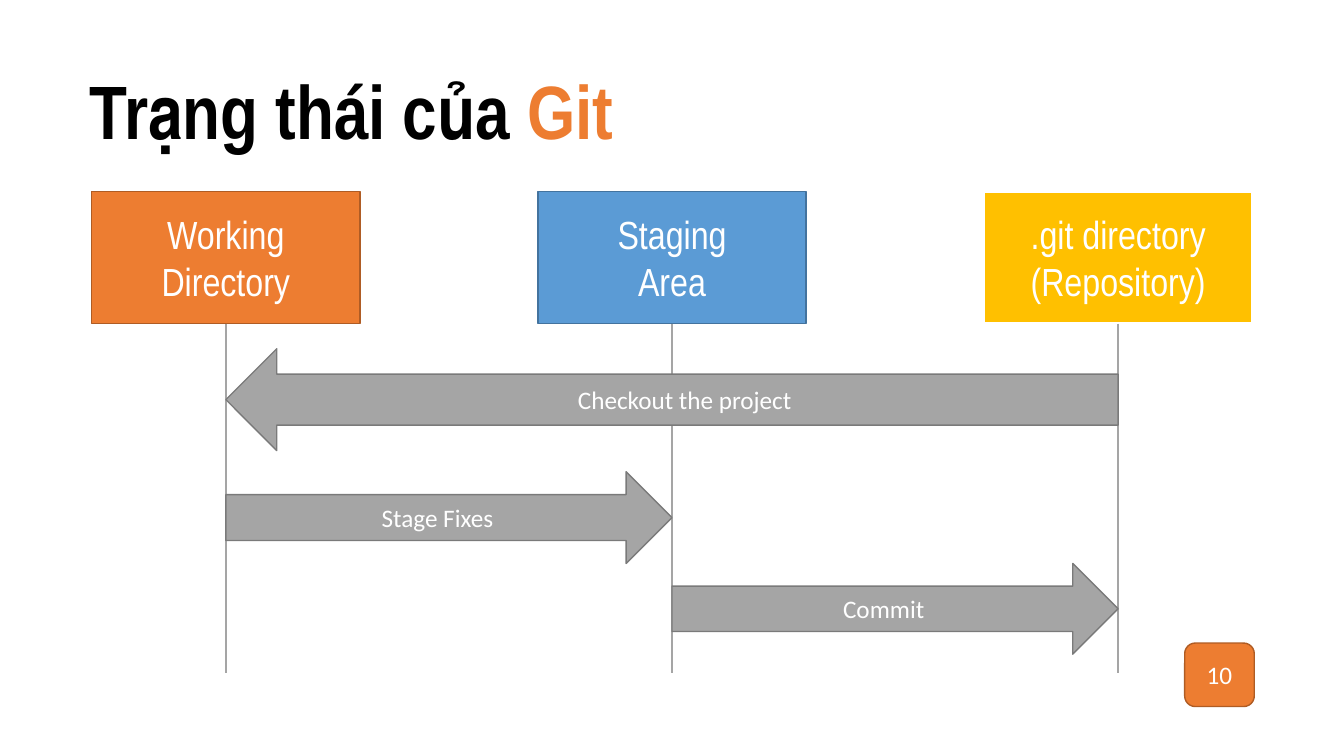
from dataclasses import dataclass

from lxml import etree
from pptx import Presentation
from pptx import util as u
from pptx.dml.color import RGBColor
from pptx.enum import shapes, text
from pptx.oxml.ns import qn


@dataclass(frozen=True)
class Theme:
    orange: str = "ED7D31"
    orange_edge: str = "AF5C24"
    blue: str = "5B9BD5"
    blue_edge: str = "43739E"
    gold: str = "FFC000"
    grey: str = "A5A5A5"
    grey_edge: str = "7A7A7A"
    white: str = "FFFFFF"
    black: str = "000000"
    heading_font: str = "Arial Narrow"
    body_font: str = "Calibri"
    title_size: int = 54
    box_size: int = 28
    label_size: int = 18


WIDTH, HEIGHT = 13.33, 7.5
FIRST_LANE, LANE_GAP = 2.24, 4.425
BOX_WIDTH, BOX_HEIGHT, BOX_TOP = 2.66, 1.31, 1.9
LANE_END = 6.68


def lane_x(lane):
    """Horizontal centre of a lane, counted from 0."""
    return FIRST_LANE + lane * LANE_GAP


def add_span(para, wording, *, font, size, color, bold=False):
    span = para.add_run()
    span.text = wording
    span.font.name = font
    span.font.size = u.Pt(size)
    span.font.bold = bold
    span.font.color.rgb = RGBColor.from_string(color)


class StatePage:
    """Draws the elements of one slide in a shared style."""

    def __init__(self, deck, theme):
        self.theme = theme
        self.page = deck.slides.add_slide(deck.slide_layouts[5])

    def title(self, parts, left, top, width, height):
        box = self.page.shapes.title
        box.left, box.top = u.Inches(left), u.Inches(top)
        box.width, box.height = u.Inches(width), u.Inches(height)
        frame = box.text_frame
        frame.auto_size = text.MSO_AUTO_SIZE.NONE
        frame.vertical_anchor = text.MSO_ANCHOR.TOP
        para = frame.paragraphs[0]
        para.alignment = text.PP_ALIGN.LEFT
        for wording, color in parts:
            add_span(para, wording, font=self.theme.heading_font,
                     size=self.theme.title_size, color=color, bold=True)

    def shape(self, kind, place, lines, fill, edge, *, edge_width=1, font=None, size=None):
        box = self.page.shapes.add_shape(kind, *map(u.Inches, place))
        box.shadow.inherit = False
        box.fill.solid()
        box.fill.fore_color.rgb = RGBColor.from_string(fill)
        box.line.color.rgb = RGBColor.from_string(edge)
        box.line.width = u.Pt(edge_width)
        frame = box.text_frame
        frame.word_wrap = True
        frame.vertical_anchor = text.MSO_ANCHOR.MIDDLE
        for index, wording in enumerate(lines):
            para = frame.add_paragraph() if index else frame.paragraphs[0]
            para.alignment = text.PP_ALIGN.CENTER
            add_span(para, wording, font=font or self.theme.body_font,
                     size=size or self.theme.label_size, color=self.theme.white)
        return box

    def lane_box(self, lane, lines, fill, edge, edge_width):
        place = (lane_x(lane) - BOX_WIDTH / 2, BOX_TOP, BOX_WIDTH, BOX_HEIGHT)
        return self.shape(shapes.MSO_SHAPE.RECTANGLE, place, lines, fill, edge,
                          edge_width=edge_width, font=self.theme.heading_font,
                          size=self.theme.box_size)

    def lifeline(self, lane, box):
        x = u.Inches(lane_x(lane))
        line = self.page.shapes.add_connector(
            shapes.MSO_CONNECTOR.STRAIGHT, x, box.top + box.height, x, u.Inches(LANE_END))
        line.begin_connect(box, 2)
        line.line.color.rgb = RGBColor.from_string(self.theme.grey)
        line.line.width = u.Pt(1.5)
        etree.SubElement(line._element.spPr, qn("a:effectLst"))

    def arrow(self, start, end, top, height, label):
        """Block arrow from one lane to another, pointing at the end lane."""
        kind = shapes.MSO_SHAPE.RIGHT_ARROW if end > start else shapes.MSO_SHAPE.LEFT_ARROW
        place = (lane_x(min(start, end)), top, abs(end - start) * LANE_GAP, height)
        self.shape(kind, place, [label], self.theme.grey, self.theme.grey_edge)


def main():
    theme = Theme()
    deck = Presentation()
    deck.slide_width, deck.slide_height = u.Inches(WIDTH), u.Inches(HEIGHT)
    page = StatePage(deck, theme)

    page.title([("Trạng thái của ", theme.black), ("Git", theme.orange)],
               0.79, 0.58, 5.88, 1.01)

    lanes = [
        (["Working Directory"], theme.orange, theme.orange_edge, 1),
        (["Staging", "Area"], theme.blue, theme.blue_edge, 1),
        ([".git directory", "(Repository)"], theme.gold, theme.white, 1.5),
    ]
    boxes = [page.lane_box(lane, *details) for lane, details in enumerate(lanes)]
    for lane, box in enumerate(boxes):
        page.lifeline(lane, box)

    page.shape(shapes.MSO_SHAPE.ROUNDED_RECTANGLE, (11.75, 6.38, 0.69, 0.63),
               ["10"], theme.orange, theme.orange_edge)

    page.arrow(2, 0, 3.46, 1.01, "Checkout the project")
    page.arrow(0, 1, 4.68, 0.91, "Stage Fixes")
    page.arrow(1, 2, 5.59, 0.9, "Commit")

    deck.save("out.pptx")


if __name__ == "__main__":
    main()
